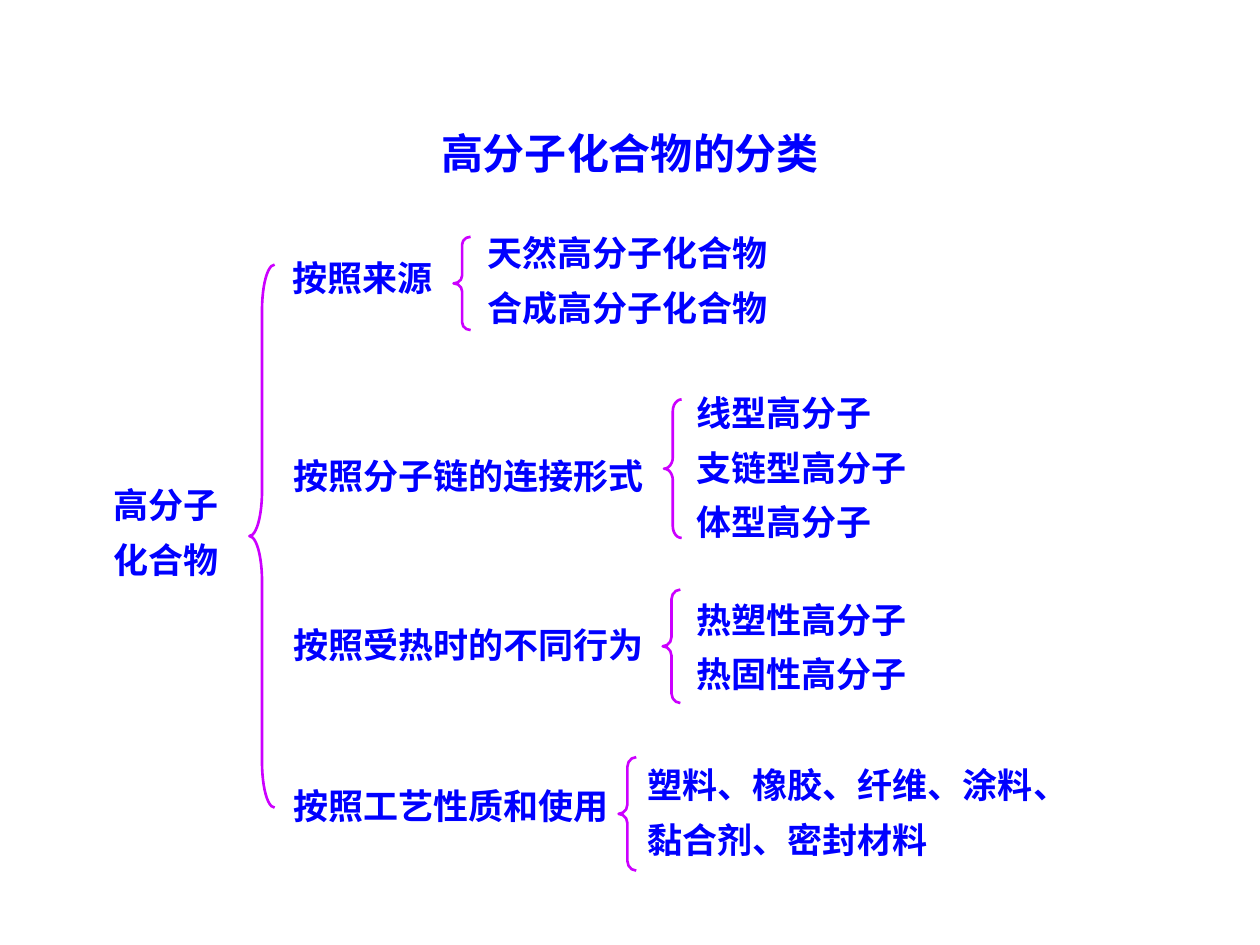
import pptx
import pptx.util
import pptx.dml.color
import pptx.enum.shapes
import pptx.enum.text
import lxml.etree
import pptx.oxml.ns

COLS, ROWS = 100, 75


def tint(code):
    return pptx.dml.color.RGBColor.from_string(code)


class Chart:
    face = "Noto Sans CJK SC"
    ink = "0000FF"
    edge = "CC00FF"
    size = 20
    lead = 1.3

    def __init__(self, deck):
        self.slide = deck.slides.add_slide(deck.slide_layouts[5])
        self.col = deck.slide_width / COLS
        self.row = deck.slide_height / ROWS

    def place(self, x, y, w, h):
        return (round(x * self.col), round(y * self.row),
                round(w * self.col), round(h * self.row))

    def words(self, para, text, size):
        run = para.add_run()
        run.text = text
        font = run.font
        font.name = self.face
        font.size = pptx.util.Pt(size)
        font.bold = True
        font.color.rgb = tint(self.ink)
        east = lxml.etree.SubElement(font._element, pptx.oxml.ns.qn("a:ea"))
        east.set("typeface", self.face)

    def title(self, text, x, y, w, h, size):
        box = self.slide.shapes.title
        box.left, box.top, box.width, box.height = self.place(x, y, w, h)
        frame = box.text_frame
        frame.word_wrap = True
        frame.auto_size = pptx.enum.text.MSO_AUTO_SIZE.SHAPE_TO_FIT_TEXT
        frame.vertical_anchor = pptx.enum.text.MSO_ANCHOR.TOP
        para = frame.paragraphs[0]
        para.alignment = pptx.enum.text.PP_ALIGN.CENTER
        self.words(para, text, size)

    def label(self, lines, x, y, w):
        high = 1.1 + 4.3 * len(lines)
        box = self.slide.shapes.add_textbox(*self.place(x, y, w, high))
        frame = box.text_frame
        frame.word_wrap = True
        frame.auto_size = pptx.enum.text.MSO_AUTO_SIZE.SHAPE_TO_FIT_TEXT
        for i, line in enumerate(lines):
            para = frame.add_paragraph() if i else frame.paragraphs[0]
            para.line_spacing = self.lead
            self.words(para, line, self.size)

    def brace(self, x, y, w, h):
        kind = pptx.enum.shapes.MSO_SHAPE.LEFT_BRACE
        shape = self.slide.shapes.add_shape(kind, *self.place(x, y, w, h))
        shape.adjustments[0] = h / w / 12
        shape.shadow.inherit = False
        shape.fill.background()
        shape.line.color.rgb = tint(self.edge)
        shape.line.width = pptx.util.Pt(1.5)


def main():
    deck = pptx.Presentation()
    deck.slide_width = pptx.util.Inches(10)
    deck.slide_height = pptx.util.Inches(7.5)
    chart = Chart(deck)
    chart.title("高分子化合物的分类", 17.7, 9.6, 64.6, 5, 24)
    chart.label(["高分子", "化合物"], 8, 36.9, 15.4)
    chart.brace(19.8, 21, 2, 43.1)

    groups = [
        ("按照来源", (22.2, 18.9, 15.4), (36, 18.8, 1.35, 7.4),
         ["天然高分子化合物", "合成高分子化合物"], (37.7, 16.9, 34.8)),
        ("按照分子链的连接形式", (22.3, 34.6, 29.9), (52.7, 31.7, 1.4, 11),
         ["线型高分子", "支链型高分子", "体型高分子"], (54.3, 29.6, 24.9)),
        ("按照受热时的不同行为", (22.3, 48, 29.9), (52.6, 46.8, 1.4, 9),
         ["热塑性高分子", "热固性高分子"], (54.3, 46, 31.6)),
        ("按照工艺性质和使用", (22.3, 60.8, 27.1), (49.1, 60.1, 1.4, 9),
         ["塑料、橡胶、纤维、涂料、", "黏合剂、密封材料"], (50.4, 59.1, 37.4)),
    ]
    for basis, spot, curve, kinds, area in groups:
        chart.label([basis], *spot)
        chart.brace(*curve)
        chart.label(kinds, *area)
    deck.save("out.pptx")


if __name__ == "__main__":
    main()
